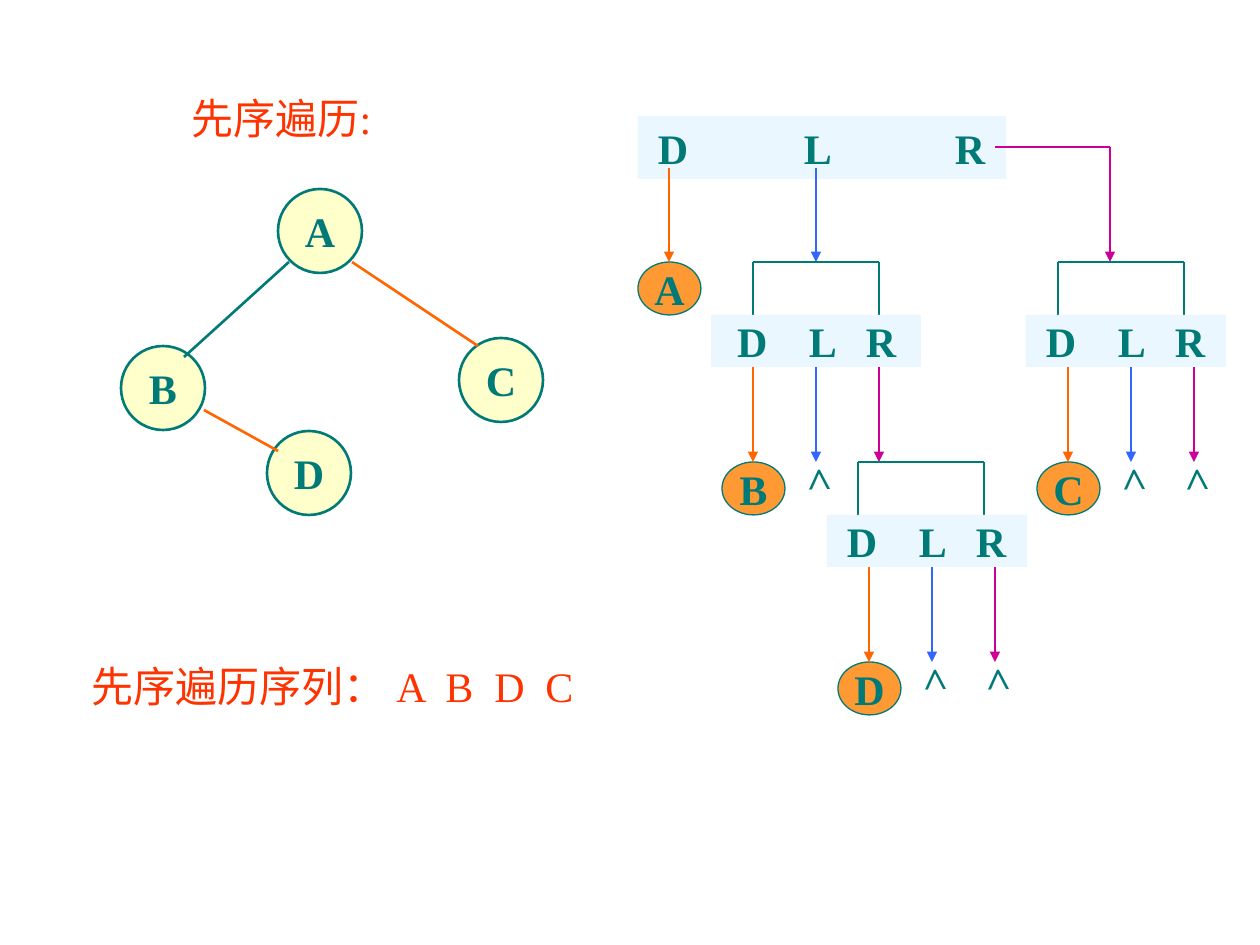
from dataclasses import dataclass

import pptx
import pptx.dml.color
import pptx.enum.shapes
import pptx.enum.text
import pptx.oxml
import pptx.oxml.ns
import pptx.util
from lxml import etree

ALIGN = pptx.enum.text.PP_ALIGN
ANCHOR = pptx.enum.text.MSO_ANCHOR
SHAPE = pptx.enum.shapes.MSO_SHAPE
EMU_PER_PX = 914400 / 126


@dataclass(frozen=True)
class Theme:
    font: str = "Times New Roman"
    size: int = 24
    ink: str = "007A77"
    heading: str = "FF3300"
    node: str = "FFFFCC"
    visited: str = "FF9933"
    call: str = "EBF7FF"
    visit_arrow: str = "FF6600"
    left_arrow: str = "3366FF"
    right_arrow: str = "CC0099"
    thick: float = 1.5
    thin: float = 0.75


def px(length):
    return pptx.util.Emu(round(length * EMU_PER_PX))


def rgb(color):
    return pptx.dml.color.RGBColor.from_string(color)


def add_child(parent, tag, **attributes):
    return etree.SubElement(parent, pptx.oxml.ns.qn(tag), attributes)


class TraversalSlide:
    def __init__(self, slide, theme):
        self.slide = slide
        self.shapes = slide.shapes
        self.theme = theme

    def set_line(self, frame, text, color, bold=False, align=ALIGN.LEFT, tabs=()):
        """Fill a frame with one line; tabs are px from its left inset."""
        paragraph = frame.paragraphs[0]
        paragraph.alignment = align
        if tabs:
            stops = add_child(paragraph._p.get_or_add_pPr(), "a:tabLst")
            for stop in tabs:
                add_child(stops, "a:tab", pos=str(px(stop)), algn="l")
        run = paragraph.add_run()
        run.text = text
        run.font.name = self.theme.font
        run.font.size = pptx.util.Pt(self.theme.size)
        run.font.bold = bold
        run.font.color.rgb = rgb(color)

    def title(self, text, *box):
        title = self.shapes.title
        title.left, title.top, title.width, title.height = map(px, box)
        frame = title.text_frame
        frame.auto_size = pptx.enum.text.MSO_AUTO_SIZE.NONE
        frame.vertical_anchor = ANCHOR.TOP
        frame.word_wrap = False
        self.set_line(frame, text, self.theme.heading)

    def text(self, text, *box, color, bold=False, tabs=(), rotation=0):
        label = self.shapes.add_textbox(*map(px, box))
        label.rotation = rotation
        label.text_frame.word_wrap = True
        self.set_line(label.text_frame, text, color, bold, tabs=tabs)

    def block(self, kind, fill, *box, outline=None):
        """Draw a flat shape and return its text frame."""
        shape = self.shapes.add_shape(kind, *map(px, box))
        shape.shadow.inherit = False
        shape.fill.solid()
        shape.fill.fore_color.rgb = rgb(fill)
        if outline:
            shape.line.color.rgb = rgb(self.theme.ink)
            shape.line.width = pptx.util.Pt(outline)
        else:
            shape.line.fill.background()
        frame = shape.text_frame
        frame.word_wrap = False
        frame.vertical_anchor = ANCHOR.MIDDLE
        return frame

    def ellipse(self, letter, fill, *box, outline):
        frame = self.block(SHAPE.OVAL, fill, *box, outline=outline)
        self.set_line(frame, letter, self.theme.ink, True, ALIGN.CENTER)

    def node(self, letter, left, top):
        self.ellipse(letter, self.theme.node, left, top, 84, 84,
                     outline=self.theme.thick)

    def visited(self, letter, center, top):
        self.ellipse(letter, self.theme.visited, center - 31, top, 63, 53,
                     outline=self.theme.thin)

    def empty_tree(self, center, top):
        """Mark an empty subtree with a > turned upwards."""
        self.text(">", center - 26, top - 16, 53, 63,
                  color=self.theme.ink, bold=True, rotation=268.3)

    def call_box(self, *box, inset, tabs):
        frame = self.block(SHAPE.RECTANGLE, self.theme.call, *box)
        frame.word_wrap = True
        frame.margin_left = px(inset)
        frame.margin_right = 0
        self.set_line(frame, "D\tL\tR", self.theme.ink, True, tabs=tabs)

    def line(self, *ends, color, arrow=False):
        connector = self.shapes.add_connector(
            pptx.enum.shapes.MSO_CONNECTOR.STRAIGHT, *map(px, ends))
        connector.line.color.rgb = rgb(color)
        connector.line.width = pptx.util.Pt(self.theme.thick)
        properties = connector._element.spPr
        if arrow:
            outline = properties.find(pptx.oxml.ns.qn("a:ln"))
            add_child(outline, "a:tailEnd", type="triangle")
        add_child(properties, "a:effectLst")

    def call(self, letter, top, bracket, box_left, box_width, inset, first_arrow,
             right_is_empty=True):
        """Draw a recursive call: bracket, D L R box, arrows and their results."""
        ink = self.theme.ink
        box_top, box_bottom, result_top = top + 53, top + 105, top + 200
        self.line(bracket, top, bracket + 126, top, color=ink)
        for side in (bracket, bracket + 126):
            self.line(side, top, side, box_top, color=ink)
        self.call_box(box_left, box_top, box_width, 52, inset=inset, tabs=(72, 129))
        visit, left, right = (first_arrow + 63 * step for step in range(3))
        self.visited(letter, visit, result_top)
        self.empty_tree(left, result_top)
        if right_is_empty:
            self.empty_tree(right, result_top)
        colors = (self.theme.visit_arrow, self.theme.left_arrow, self.theme.right_arrow)
        for x, color in zip((visit, left, right), colors):
            self.line(x, box_bottom, x, result_top, color=color, arrow=True)


def main():
    presentation = pptx.Presentation()
    presentation.slide_width, presentation.slide_height = px(1260), px(945)
    theme = Theme()
    page = TraversalSlide(
        presentation.slides.add_slide(presentation.slide_layouts[5]), theme)

    page.title("先序遍历:", 179, 86, 214, 63)

    for letter, left, top in (("A", 278, 189), ("D", 267, 431),
                              ("B", 121, 346), ("C", 459, 338)):
        page.node(letter, left, top)
    page.line(289, 262, 184, 357, color=theme.ink)
    page.line(352, 262, 478, 346, color=theme.visit_arrow)
    page.line(204, 410, 278, 451, color=theme.visit_arrow)

    page.call_box(638, 116, 368, 63, inset=20, tabs=(146, 297))
    page.line(669, 168, 669, 262, color=theme.visit_arrow, arrow=True)
    page.visited("A", 669, 262)
    page.line(816, 168, 816, 262, color=theme.left_arrow, arrow=True)
    page.line(995, 147, 1110, 147, color=theme.right_arrow)
    page.line(1110, 147, 1110, 262, color=theme.right_arrow, arrow=True)

    page.call("B", 262, bracket=753, box_left=711, box_width=210, inset=26,
              first_arrow=753, right_is_empty=False)
    page.call("D", 462, bracket=858, box_left=827, box_width=200, inset=20,
              first_arrow=869)
    page.call("C", 262, bracket=1058, box_left=1026, box_width=200, inset=20,
              first_arrow=1068)

    page.text("先序遍历序列：\tA\tB\tD\tC", 79, 654, 509, 63,
              color=theme.heading, tabs=(305, 354, 403, 454))
    presentation.save("out.pptx")


if __name__ == "__main__":
    main()
